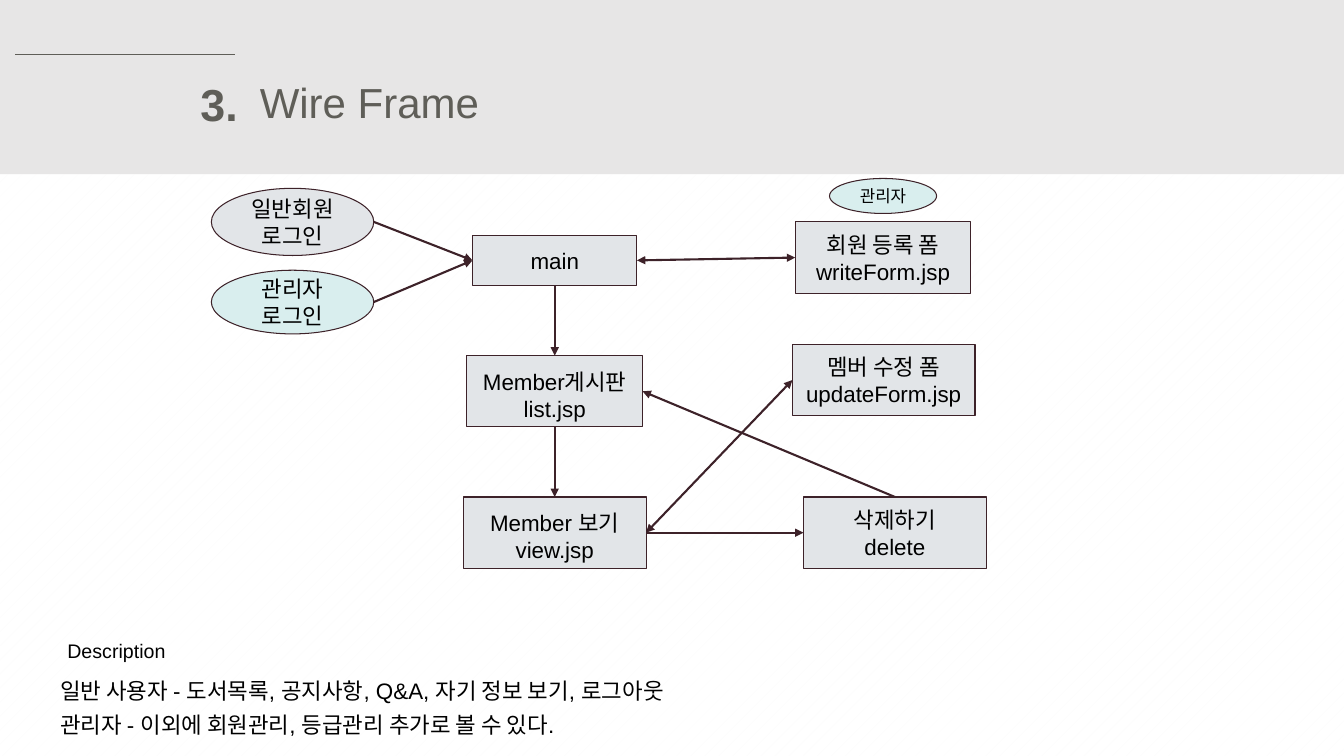
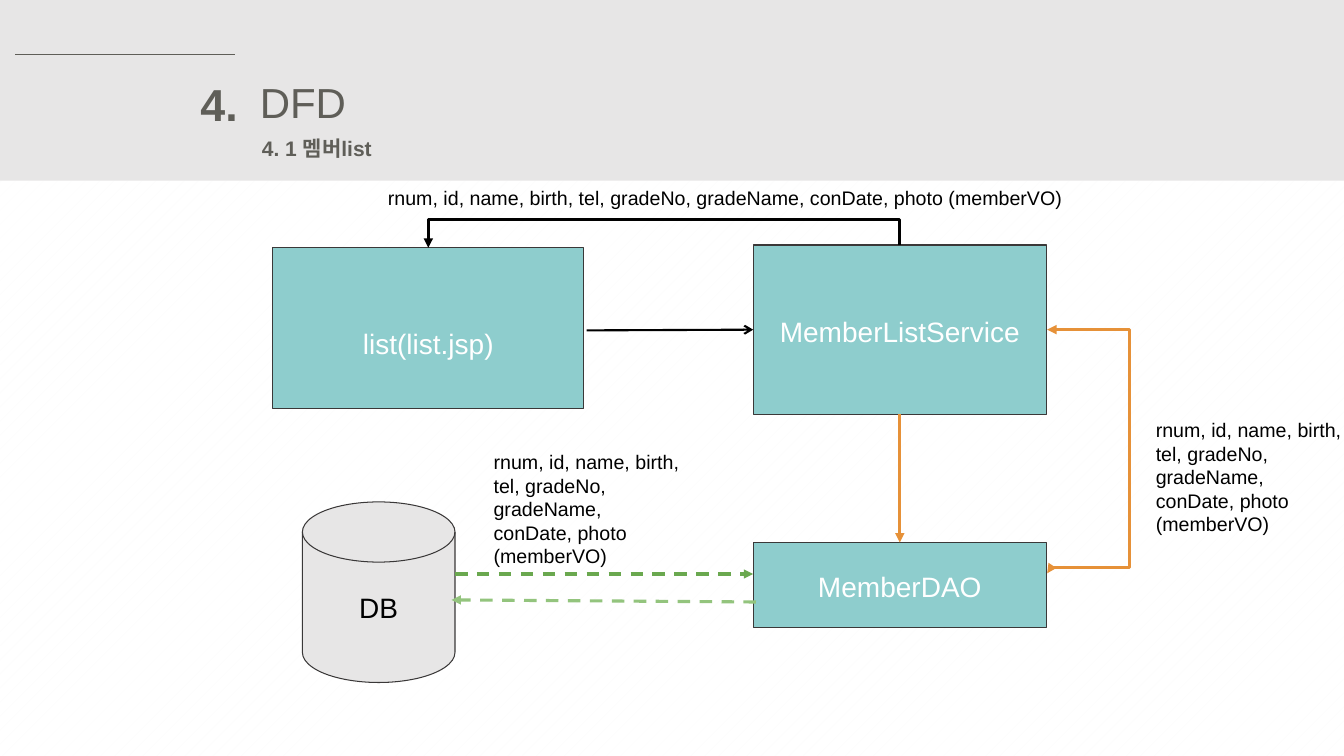
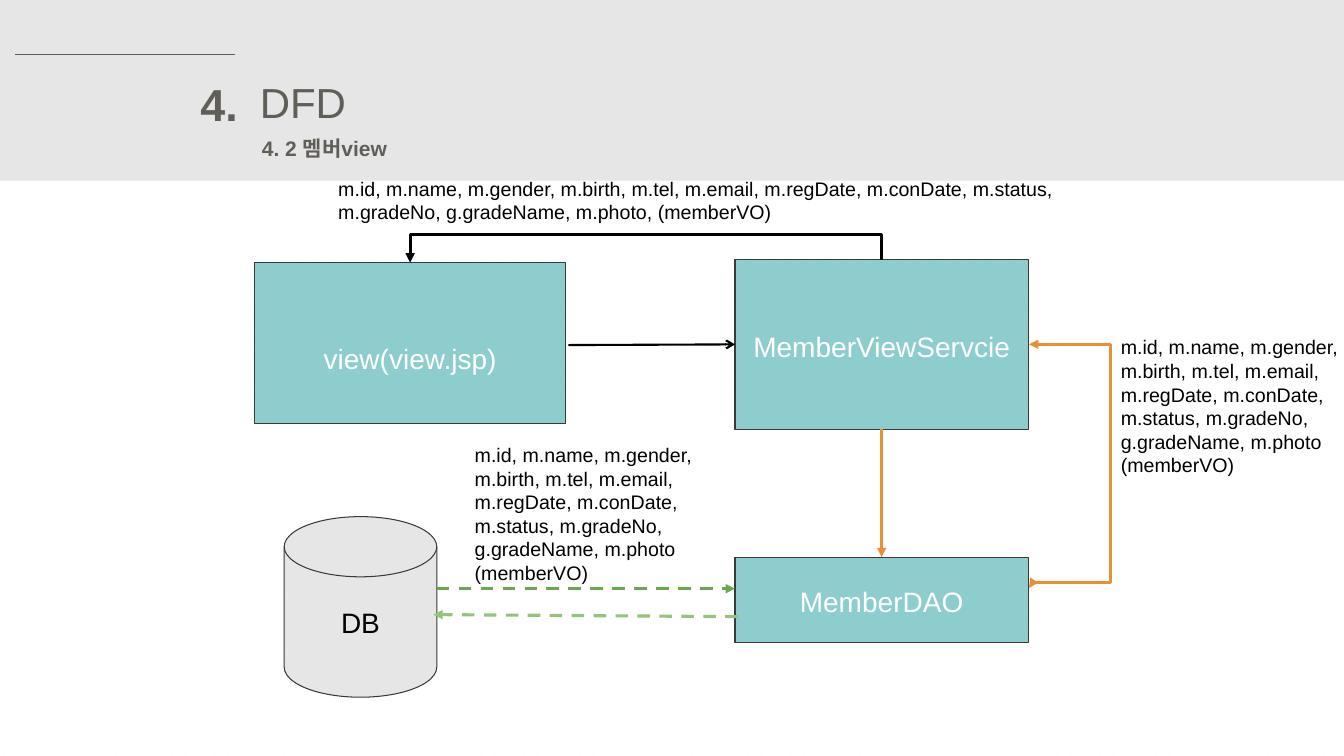
from dataclasses import dataclass
from typing import Optional

from lxml.etree import SubElement
from pptx import Presentation
from pptx.dml.color import RGBColor
from pptx.enum.dml import MSO_LINE, MSO_PATTERN
from pptx.enum.shapes import MSO_CONNECTOR, MSO_SHAPE
from pptx.enum.text import MSO_ANCHOR, PP_ALIGN
from pptx.oxml.ns import qn
from pptx.util import Pt

# Shared look
FONT = "Arial"
WIDTH, HEIGHT = 960, 540
TOP, LEFT, BOTTOM, RIGHT = range(4)
COLORS = {
    "white": "FFFFFF", "speckle": "FBFBFB", "band": "E7E6E6", "title": "5F5E58",
    "text": "000000", "page": "E2E5E8", "admin": "D9EEEE", "page_line": "3D2229",
    "module": "8ECDCD", "module_line": "3A3838", "call": "E69138",
    "query": "6AA84F", "result": "93C47D",
}
Point = tuple[float, float]


@dataclass
class Node:
    name: str
    left: float
    top: float
    width: float
    height: float
    lines: list[str]
    fill: str = "page"
    line: str = "page_line"
    kind: MSO_SHAPE = MSO_SHAPE.RECTANGLE
    size: float = 16
    color: str = "text"
    drop: float = 0


@dataclass
class Label:
    left: float
    top: float
    width: float
    height: float
    lines: list[str]
    size: float = 14
    color: str = "text"
    bold: bool = False
    align: PP_ALIGN = PP_ALIGN.LEFT
    margin: float = 3.6
    right_margin: float = 7.2


@dataclass
class Stroke:
    color: str
    width: float
    tail: Optional[str] = "triangle"
    head: Optional[str] = None
    dashed: bool = False


@dataclass
class Flow:
    start: str
    start_side: int
    end: str
    end_side: int
    both: bool = False


@dataclass
class Elbow:
    start: Point
    end: Point
    rotation: int
    stroke: Stroke
    bend_y: Optional[float] = None


def rgb(name: str) -> RGBColor:
    return RGBColor.from_string(COLORS[name])


def write(frame, lines: list[str], size: float, color: str, align: PP_ALIGN,
          bold: bool = False) -> None:
    frame.word_wrap = True
    for index, line in enumerate(lines):
        paragraph = frame.add_paragraph() if index else frame.paragraphs[0]
        paragraph.alignment = align
        run = paragraph.add_run()
        run.text = line
        run.font.name = FONT
        run.font.size = Pt(size)
        run.font.bold = bold
        run.font.color.rgb = rgb(color)


def add_label(slide, label: Label) -> None:
    box = slide.shapes.add_textbox(Pt(label.left), Pt(label.top), Pt(label.width), Pt(label.height))
    frame = box.text_frame
    frame.margin_top = frame.margin_bottom = Pt(label.margin)
    frame.margin_left, frame.margin_right = Pt(7.2), Pt(label.right_margin)
    write(frame, label.lines, label.size, label.color, label.align, label.bold)


def add_node(slide, node: Node, shift: Point = (0, 0)):
    shape = slide.shapes.add_shape(node.kind, Pt(node.left + shift[0]), Pt(node.top + shift[1]),
                                   Pt(node.width), Pt(node.height))
    shape.shadow.inherit = False
    shape.fill.solid()
    shape.fill.fore_color.rgb = rgb(node.fill)
    shape.line.color.rgb = rgb(node.line)
    shape.line.width = Pt(0.75)
    frame = shape.text_frame
    frame.vertical_anchor = MSO_ANCHOR.MIDDLE
    frame.margin_left = frame.margin_right = frame.margin_bottom = Pt(7.2)
    frame.margin_top = Pt(7.2 + 2 * node.drop)
    write(frame, node.lines, node.size, node.color, PP_ALIGN.CENTER)
    return shape


def add_line(slide, start: Point, end: Point, stroke: Stroke,
             kind: MSO_CONNECTOR = MSO_CONNECTOR.STRAIGHT):
    connector = slide.shapes.add_connector(kind, Pt(start[0]), Pt(start[1]), Pt(end[0]), Pt(end[1]))
    connector.line.color.rgb = rgb(stroke.color)
    connector.line.width = Pt(stroke.width)
    if stroke.dashed:
        connector.line.dash_style = MSO_LINE.DASH
    properties = connector._element.spPr
    outline = properties.find(qn("a:ln"))
    for tag, arrow in (("a:headEnd", stroke.head), ("a:tailEnd", stroke.tail)):
        if arrow:
            SubElement(outline, qn(tag)).set("type", arrow)
    SubElement(properties, qn("a:effectLst"))
    return connector


def add_elbow(slide, elbow: Elbow, shift: Point) -> None:
    """Draw an elbow that leaves its start vertically, using a quarter turn."""
    (start_x, start_y), (end_x, end_y) = elbow.start, elbow.end
    center_x, center_y = (start_x + end_x) / 2 + shift[0], (start_y + end_y) / 2 + shift[1]
    turn = 1 if elbow.rotation == 90 else -1
    across, along = turn * (start_y - end_y) / 2, turn * (end_x - start_x) / 2
    connector = add_line(slide, (center_x + across, center_y + along),
                         (center_x - across, center_y - along), elbow.stroke, MSO_CONNECTOR.ELBOW)
    properties = connector._element.spPr
    properties.find(qn("a:xfrm")).set("rot", str(elbow.rotation * 60000))
    geometry = properties.find(qn("a:prstGeom"))
    if elbow.bend_y is None:
        geometry.set("prst", "bentConnector2")
        return
    values = geometry.find(qn("a:avLst"))
    if values is None:
        values = SubElement(geometry, qn("a:avLst"))
    guide = SubElement(values, qn("a:gd"))
    guide.set("name", "adj1")
    guide.set("fmla", f"val {round((elbow.bend_y - start_y) / (end_y - start_y) * 100000)}")


def add_slide(presentation, number: str, title: str, subtitle: str = "", band_height: float = 129):
    slide = presentation.slides.add_slide(presentation.slide_layouts[6])
    band = slide.shapes.add_shape(MSO_SHAPE.RECTANGLE, 0, 0, Pt(WIDTH), Pt(band_height))
    band.shadow.inherit = False
    band.fill.solid()
    band.fill.fore_color.rgb = rgb("band")
    band.line.fill.background()
    add_line(slide, (11, 39), (168, 39), Stroke("title", 0.75, tail=None))
    add_label(slide, Label(127, 51, 50, 46, [number], 32, "title", True, PP_ALIGN.RIGHT))
    add_label(slide, Label(178.5, 51, 218, 44, [title], 30, "title"))
    if subtitle:
        add_label(slide, Label(180, 93, 280, 25, [subtitle], 15, "title", True))
    return slide


# Wire frame
PAGES = [
    Node("write", 568, 158.5, 125.5, 51, ["회원 등록 폼", "writeForm.jsp"]),
    Node("update", 566, 246, 130.5, 51, ["멤버 수정 폼", "updateForm.jsp"]),
    Node("list", 333.5, 254, 125.5, 51, ["Member게시판", "list.jsp"], drop=2.5),
    Node("main", 337.5, 168, 117.5, 36, ["main"]),
    Node("delete", 574, 355, 130.5, 51, ["삭제하기", "delete"]),
    Node("view", 331, 355, 130.5, 51, ["Member 보기", "view.jsp"], drop=2.5),
]
LOGINS = [
    Node("member login", 151, 134.5, 116, 48, ["일반회원 로그인"], kind=MSO_SHAPE.OVAL),
    Node("admin login", 151, 193, 116, 45.5, ["관리자 로그인"], "admin", kind=MSO_SHAPE.OVAL),
]
ADMIN_TAG = Node("admin tag", 592.5, 127.5, 76.5, 25, ["관리자"], "admin",
                 kind=MSO_SHAPE.OVAL, size=12)
PAGE_FLOWS = [
    Flow("main", BOTTOM, "list", TOP),
    Flow("list", BOTTOM, "view", TOP),
    Flow("view", RIGHT, "delete", LEFT),
    Flow("delete", TOP, "list", RIGHT),
    Flow("main", RIGHT, "write", LEFT, both=True),
    Flow("view", RIGHT, "update", LEFT, both=True),
]
DESCRIPTIONS = [
    Label(41, 449, 117.5, 32, ["Description"], margin=7.2),
    Label(36, 476.5, 854, 34, ["일반 사용자 - 도서목록, 공지사항, Q&A, 자기 정보 보기, 로그아웃"], 16, margin=7.2),
    Label(36, 501, 535, 34, ["관리자 - 이외에 회원관리, 등급관리 추가로 볼 수 있다."], 16, margin=7.2),
]


def build_wire_frame(presentation) -> None:
    slide = add_slide(presentation, "3.", "Wire Frame", band_height=124.5)
    shapes = {node.name: add_node(slide, node) for node in PAGES}
    for login in LOGINS:
        add_node(slide, login)
        start = (login.left + login.width, login.top + login.height / 2)
        add_line(slide, start, start, Stroke("page_line", 1.5)).end_connect(shapes["main"], LEFT)
    add_node(slide, ADMIN_TAG)
    for flow in PAGE_FLOWS:
        stroke = Stroke("page_line", 1.5, head="triangle" if flow.both else None)
        connector = add_line(slide, (0, 0), (0, 0), stroke)
        connector.begin_connect(shapes[flow.start], flow.start_side)
        connector.end_connect(shapes[flow.end], flow.end_side)
    for label in DESCRIPTIONS:
        add_label(slide, label)


# Data flow diagrams
CALL = Stroke("call", 2.25)
ELBOWS = [
    Elbow((642.75, 175), (306, 177), 270, Stroke("text", 2.25), bend_y=157),
    Elbow((806.5, 373.5), (748, 235.5), 270, CALL),
    Elbow((806.5, 235.5), (748, 409.5), 90, CALL, bend_y=405.5),
]
DATABASE_LINES = [
    ((325, 410), (538, 410), Stroke("query", 2.25, dashed=True)),
    ((540, 430), (322.5, 428.5), Stroke("result", 2.25, dashed=True)),
]
LIST_FIELDS = ["rnum, id, name, birth,", "tel, gradeNo,", "gradeName,", "conDate, photo", "(memberVO)"]
VIEW_FIELDS = ["m.id, m.name, m.gender,", "m.birth, m.tel, m.email,", "m.regDate, m.conDate,",
               "m.status, m.gradeNo,", "g.gradeName, m.photo", "(memberVO)"]
LIST_LABELS = [
    Label(270, 129, 520, 24,
          ["rnum, id, name, birth, tel, gradeNo, gradeName, conDate, photo (memberVO)"]),
    Label(345.5, 318, 170.5, 92, LIST_FIELDS),
    Label(818.5, 295, 141.5, 92, LIST_FIELDS, right_margin=0),
]
VIEW_LABELS = [
    Label(234.5, 122.5, 530, 41,
          ["m.id, m.name, m.gender, m.birth, m.tel, m.email, m.regDate, m.conDate, m.status, "
           "m.gradeNo, g.gradeName, m.photo, (memberVO)"]),
    Label(332, 313, 190, 109, VIEW_FIELDS),
    Label(793.5, 236, 166.5, 109, VIEW_FIELDS, right_margin=0),
]


def build_data_flow(presentation, subtitle: str, page: str, service: str,
                    labels: list[Label], shift: Point = (0, 0)) -> None:
    slide = add_slide(presentation, "4.", "DFD", subtitle)
    module = {"fill": "module", "line": "module_line", "size": 20, "color": "white"}
    nodes = [
        Node("page", 195, 177, 222, 115, [page], drop=11, **module),
        Node("service", 538, 175, 209.5, 121, [service], drop=1, **module),
        Node("dao", 538, 387.5, 209.5, 61, ["MemberDAO"], drop=1, **module),
        Node("database", 216, 358.5, 109, 129, ["DB"], "band", "module_line",
             MSO_SHAPE.FLOWCHART_MAGNETIC_DISK, 20),
    ]
    shapes = {node.name: add_node(slide, node, shift) for node in nodes}
    # Request chain
    start = (419 + shift[0], 236 + shift[1])
    request = add_line(slide, start, start, Stroke("text", 1.5, tail="arrow"))
    request.end_connect(shapes["service"], LEFT)
    call = add_line(slide, start, start, CALL)
    call.begin_connect(shapes["service"], BOTTOM)
    call.end_connect(shapes["dao"], TOP)
    # Database traffic and replies
    for begin, end, stroke in DATABASE_LINES:
        add_line(slide, (begin[0] + shift[0], begin[1] + shift[1]),
                 (end[0] + shift[0], end[1] + shift[1]), stroke)
    for elbow in ELBOWS:
        add_elbow(slide, elbow, shift)
    for label in labels:
        add_label(slide, label)


def main() -> None:
    presentation = Presentation()
    presentation.slide_width, presentation.slide_height = Pt(WIDTH), Pt(HEIGHT)
    background = presentation.slide_master.background.fill
    background.patterned()
    background.pattern = MSO_PATTERN.PERCENT_5
    background.fore_color.rgb = rgb("speckle")
    background.back_color.rgb = rgb("white")
    build_wire_frame(presentation)
    build_data_flow(presentation, "4. 1 멤버list", "list(list.jsp)", "MemberListService", LIST_LABELS)
    build_data_flow(presentation, "4. 2 멤버view", "view(view.jsp)", "MemberViewServcie",
                    VIEW_LABELS, (-13, 10.5))
    presentation.save("out.pptx")


if __name__ == "__main__":
    main()
